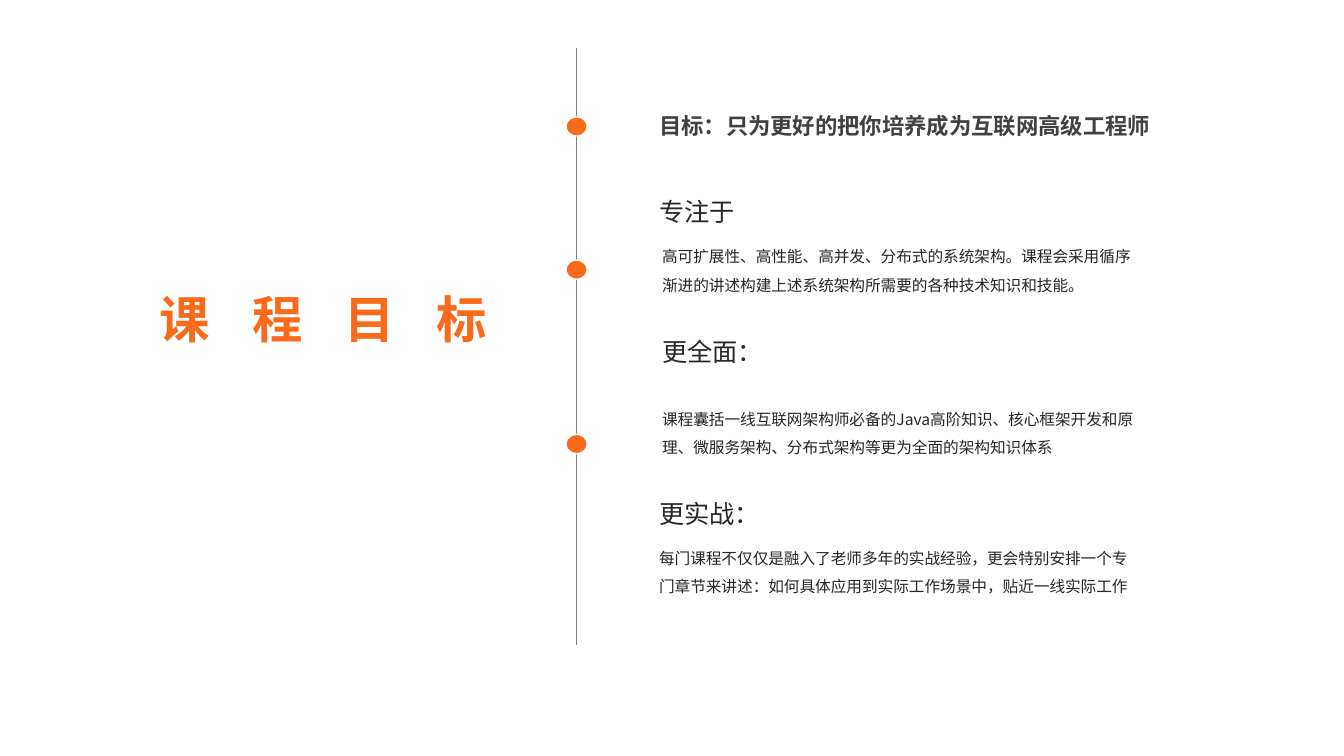
from dataclasses import dataclass

from lxml import etree
from pptx import Presentation
from pptx.dml.color import RGBColor
from pptx.enum.shapes import MSO_CONNECTOR, MSO_SHAPE
from pptx.enum.text import MSO_ANCHOR, MSO_AUTO_SIZE, PP_ALIGN
from pptx.oxml.ns import qn
from pptx.slide import Slide
from pptx.util import Pt

STRAIGHT = MSO_CONNECTOR.STRAIGHT
OVAL = MSO_SHAPE.OVAL
TOP, MIDDLE = MSO_ANCHOR.TOP, MSO_ANCHOR.MIDDLE
LEFT, CENTER = PP_ALIGN.LEFT, PP_ALIGN.CENTER
NO_FIT = MSO_AUTO_SIZE.NONE


@dataclass(frozen=True)
class TextStyle:
    size: float
    color: RGBColor
    bold: bool = False
    align: PP_ALIGN = LEFT
    anchor: MSO_ANCHOR = TOP
    line_spacing: float | None = None
    tracking: float = 0


@dataclass(frozen=True)
class Theme:
    font: str = "Noto Sans CJK SC"
    accent: RGBColor = RGBColor(0xF9, 0x6A, 0x1B)
    dot_edge: RGBColor = RGBColor(0xFF, 0xFF, 0xFF)
    axis: RGBColor = RGBColor(0x80, 0x80, 0x80)
    title: TextStyle = TextStyle(36, RGBColor(0xF9, 0x6A, 0x1B), True, CENTER, MIDDLE, tracking=30)
    goal: TextStyle = TextStyle(16, RGBColor(0x40, 0x40, 0x40), True)
    heading: TextStyle = TextStyle(18, RGBColor(0x26, 0x26, 0x26))
    body: TextStyle = TextStyle(11.2, RGBColor(0x26, 0x26, 0x26), line_spacing=1.5)


@dataclass(frozen=True)
class Box:
    left: float
    top: float
    width: float
    height: float


@dataclass(frozen=True)
class Section:
    heading: str
    heading_left: float
    heading_top: float
    body: str
    body_left: float
    body_top: float


THEME = Theme()
AXIS_X, AXIS_TOP, AXIS_BOTTOM = 411.84, 34.56, 460.8
DOT_WIDTH, DOT_HEIGHT = 15.12, 13.68
DOT_TOPS = (83.52, 185.76, 310.32)
TITLE_BOX = Box(88.56, 191.52, 285.12, 71.28)
GOAL_BOX = Box(463.68, 76.32, 455.04, 26.64)
HEADING_WIDTH, HEADING_HEIGHT = 265.68, 29.52
BODY_WIDTH, BODY_HEIGHT = 360, 54.72

SECTIONS = (
    Section(
        "专注于", 463.68, 136.8,
        "高可扩展性、高性能、高并发、分布式的系统架构。课程会采用循序渐进的讲述构建上述系统架构所需要的各种技术知识和技能。",
        465.84, 166.32,
    ),
    Section(
        "更全面：", 465.84, 236.88,
        "课程囊括一线互联网架构师必备的Java高阶知识、核心框架开发和原理、微服务架构、分布式架构等更为全面的架构知识体系",
        465.84, 282.24,
    ),
    Section(
        "更实战：", 463.68, 352.08,
        "每门课程不仅仅是融入了老师多年的实战经验，更会特别安排一个专门章节来讲述：如何具体应用到实际工作场景中，贴近一线实际工作",
        463.68, 381.6,
    ),
)


def add_text(s: Slide, text: str, box: Box, style: TextStyle) -> None:
    sp = s.shapes.add_textbox(Pt(box.left), Pt(box.top), Pt(box.width), Pt(box.height))
    tf = sp.text_frame
    tf.word_wrap = True
    tf.auto_size = NO_FIT
    tf.vertical_anchor = style.anchor
    p = tf.paragraphs[0]
    p.alignment = style.align
    if style.line_spacing:
        p.line_spacing = style.line_spacing
    r = p.add_run()
    r.text = text
    r.font.size = Pt(style.size)
    r.font.bold = style.bold
    r.font.color.rgb = style.color
    r.font.name = THEME.font
    props = r._r.get_or_add_rPr()
    etree.SubElement(props, qn("a:ea")).set("typeface", THEME.font)
    if style.tracking:
        props.set("spc", str(int(style.tracking * 100)))


def add_axis(s: Slide) -> None:
    line = s.shapes.add_connector(STRAIGHT, Pt(AXIS_X), Pt(AXIS_TOP), Pt(AXIS_X), Pt(AXIS_BOTTOM))
    line.line.color.rgb = THEME.axis
    line.line.width = Pt(0.5)
    etree.SubElement(line._element.spPr, qn("a:effectLst"))


def add_dot(s: Slide, top: float) -> None:
    sp = s.shapes.add_shape(OVAL, Pt(AXIS_X - DOT_WIDTH / 2), Pt(top), Pt(DOT_WIDTH), Pt(DOT_HEIGHT))
    sp.shadow.inherit = False
    sp.fill.solid()
    sp.fill.fore_color.rgb = THEME.accent
    sp.line.color.rgb = THEME.dot_edge
    sp.line.width = Pt(1)


def add_section(s: Slide, section: Section) -> None:
    heading_box = Box(section.heading_left, section.heading_top, HEADING_WIDTH, HEADING_HEIGHT)
    body_box = Box(section.body_left, section.body_top, BODY_WIDTH, BODY_HEIGHT)
    add_text(s, section.heading, heading_box, THEME.heading)
    add_text(s, section.body, body_box, THEME.body)


def main() -> None:
    prs = Presentation()
    prs.slide_width, prs.slide_height = Pt(960), Pt(540)
    s = prs.slides.add_slide(prs.slide_layouts[6])
    add_text(s, "课程目标", TITLE_BOX, THEME.title)
    add_axis(s)
    for top in DOT_TOPS:
        add_dot(s, top)
    add_text(s, "目标：只为更好的把你培养成为互联网高级工程师", GOAL_BOX, THEME.goal)
    for section in SECTIONS:
        add_section(s, section)
    prs.save("out.pptx")


if __name__ == "__main__":
    main()
